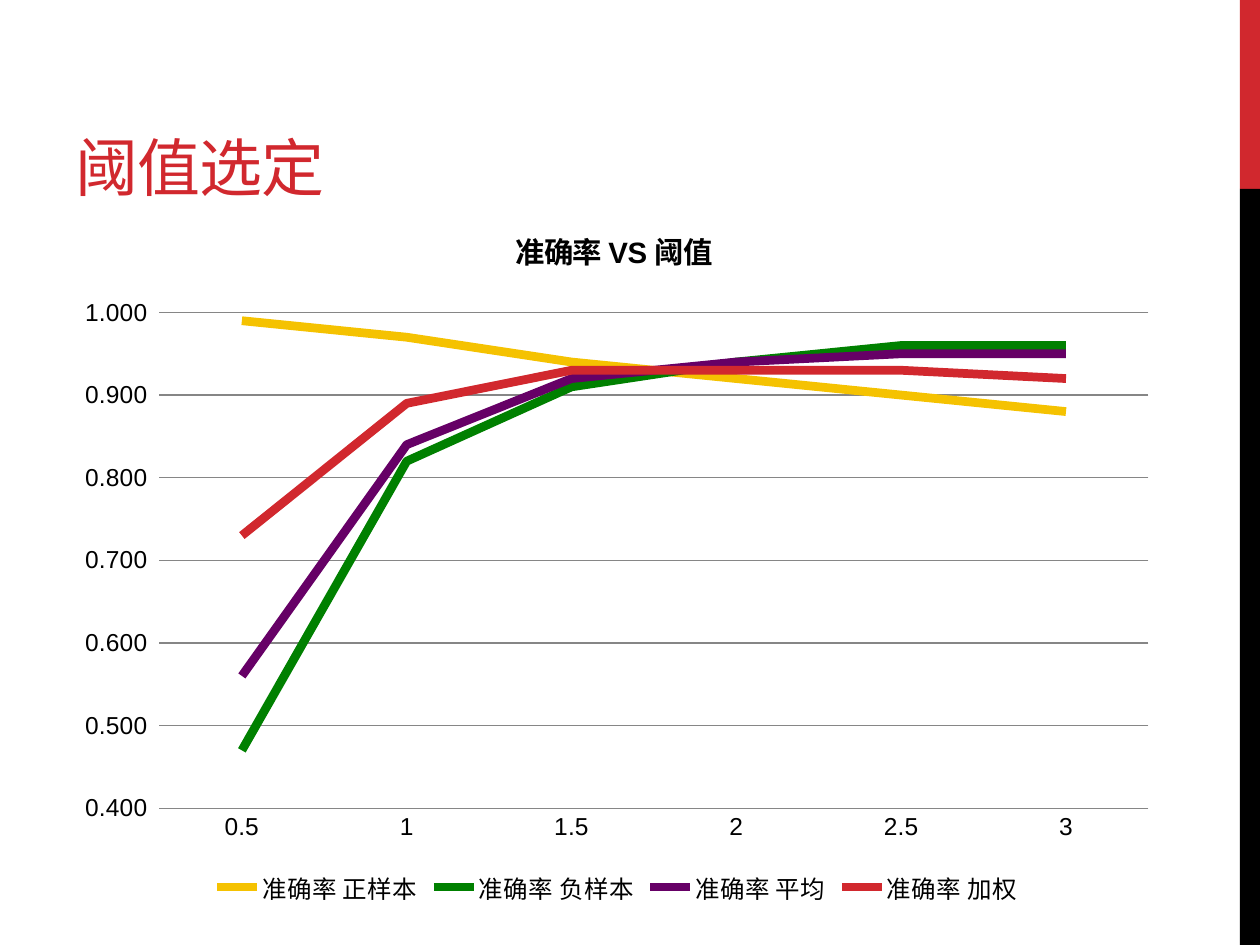
from lxml.etree import SubElement
from pptx import Presentation
from pptx.chart.data import CategoryChartData
from pptx.dml.color import RGBColor
from pptx.enum.chart import XL_CHART_TYPE, XL_LEGEND_POSITION, XL_TICK_MARK
from pptx.enum.shapes import MSO_SHAPE
from pptx.enum.text import MSO_ANCHOR, PP_ALIGN
from pptx.oxml.ns import qn
from pptx.util import Inches, Pt

RED, BLACK, GRAY = "D1282E", "000000", "868686"
CATEGORIES = [0.5, 1, 1.5, 2, 2.5, 3]
SERIES = [
    ("准确率 正样本", "F5C201", [0.99, 0.97, 0.94, 0.92, 0.9, 0.88]),
    ("准确率 负样本", "008000", [0.47, 0.82, 0.91, 0.94, 0.96, 0.96]),
    ("准确率 平均", "660066", [0.56, 0.84, 0.92, 0.94, 0.95, 0.95]),
    ("准确率 加权", RED, [0.73, 0.89, 0.93, 0.93, 0.93, 0.92]),
]
PLOT_LAYOUT = {"x": 0.087, "y": 0.146, "w": 0.892, "h": 0.709}
HEADING_LAYOUT = {"x": 0.403, "y": 0.015}


def rgb(color):
    return RGBColor.from_string(color)


def format_font(font, size, color=BLACK, name="Arial", bold=False):
    font.size = Pt(size)
    font.name = name
    font.bold = bold
    font.color.rgb = rgb(color)


def write(tf, text, spacing=None, align=PP_ALIGN.LEFT, **style):
    p = tf.paragraphs[0]
    p.alignment = align
    r = p.add_run()
    r.text = text
    format_font(r.font, **style)
    if spacing is not None:
        r.font._element.set("spc", str(round(spacing * 100)))


def place(element, index, layout, **target):
    for old in element.findall(qn("c:layout")):
        element.remove(old)
    holder = element.makeelement(qn("c:layout"), {})
    element.insert(index, holder)
    manual = SubElement(holder, qn("c:manualLayout"))
    settings = {**target, "xMode": "edge", "yMode": "edge", **layout}
    for tag, value in settings.items():
        SubElement(manual, qn(f"c:{tag}")).set("val", str(value))


class SlideBuilder:
    def __init__(self, prs):
        self.s = prs.slides.add_slide(prs.slide_layouts[5])

    def bar(self, left, top, width, height, color):
        sp = self.s.shapes.add_shape(
            MSO_SHAPE.RECTANGLE, Inches(left), Inches(top), Inches(width), Inches(height)
        )
        sp.shadow.inherit = False
        sp.fill.solid()
        sp.fill.fore_color.rgb = rgb(color)
        sp.line.fill.background()

    def title(self, text, left, top, width, height):
        sp = self.s.shapes.title
        sp.left, sp.top = Inches(left), Inches(top)
        sp.width, sp.height = Inches(width), Inches(height)
        tf = sp.text_frame
        tf.word_wrap = True
        tf.vertical_anchor = MSO_ANCHOR.BOTTOM
        write(tf, text, size=36, color=RED, name="Montserrat", spacing=-0.6)

    def line_chart(self, heading, left, top, width, height):
        data = CategoryChartData(number_format="0.000_ ")
        data.categories = CATEGORIES
        for name, _, values in SERIES:
            data.add_series(name, values)
        chart = self.s.shapes.add_chart(
            XL_CHART_TYPE.LINE, Inches(left), Inches(top), Inches(width), Inches(height), data
        ).chart
        format_font(chart.font, size=14)
        chart.has_title = True
        write(chart.chart_title.text_frame, heading, size=16.8, bold=True, align=PP_ALIGN.CENTER)
        chart.chart_title.include_in_layout = False
        chart.has_legend = True
        chart.legend.position = XL_LEGEND_POSITION.BOTTOM
        chart.legend.include_in_layout = False
        chart.plots[0].vary_by_categories = False
        for series, (_, color, _) in zip(chart.plots[0].series, SERIES):
            series.smooth = False
            series.format.line.width = Pt(5)
            series.format.line.color.rgb = rgb(color)
        self.axes(chart)
        place(chart._chartSpace.chart.plotArea, 0, PLOT_LAYOUT, layoutTarget="inner")
        place(chart.chart_title._element, 1, HEADING_LAYOUT)

    def axes(self, chart):
        category, value = chart.category_axis, chart.value_axis
        for axis in (category, value):
            axis.major_tick_mark = axis.minor_tick_mark = XL_TICK_MARK.NONE
        category.tick_labels.number_format = "General"
        category.tick_labels.number_format_is_linked = False
        value.minimum_scale, value.maximum_scale, value.major_unit = 0.4, 1, 0.1
        value.tick_labels.number_format = "0.000_ "
        value.tick_labels.number_format_is_linked = False
        value.format.line.fill.background()
        value.has_major_gridlines = True
        for line in (category.format.line, value.major_gridlines.format.line):
            line.width = Pt(0.75)
            line.color.rgb = rgb(GRAY)


def main():
    prs = Presentation()
    prs.slide_width, prs.slide_height = Inches(10), Inches(7.5)
    builder = SlideBuilder(prs)
    builder.bar(9.84, 0, 0.16, 1.5, RED)
    builder.bar(9.84, 1.5, 0.16, 6, BLACK)
    builder.title("阈值选定", 0.5, 0.17, 6.33, 1.5)
    builder.line_chart("准确率 VS 阈值", 0.5, 1.67, 8.8, 5.55)
    prs.save("out.pptx")


if __name__ == "__main__":
    main()
